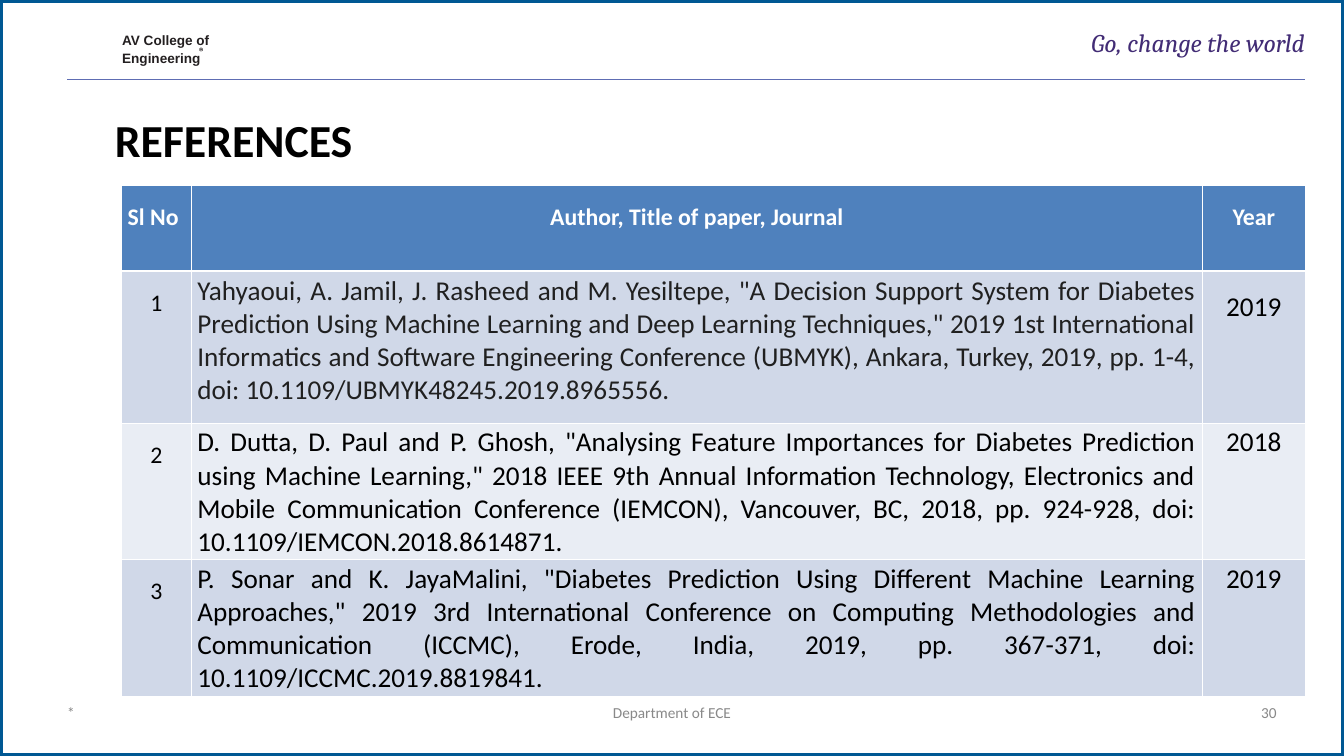
from pptx import Presentation
from pptx.dml.color import RGBColor
from pptx.enum.shapes import MSO_CONNECTOR as CONNECTOR, MSO_SHAPE as SHAPE
from pptx.enum.text import PP_ALIGN as ALIGN
from pptx.oxml import parse_xml
from pptx.oxml.ns import nsdecls
from pptx.util import Inches, Pt


def color(value):
    return RGBColor.from_string(value)


def add_run(paragraph, text, size, font, value, bold=False, italic=False):
    run = paragraph.add_run()
    run.text = text
    run.font.size = Pt(size)
    run.font.name = font
    run.font.bold = bold
    run.font.italic = italic
    run.font.color.rgb = color(value)


presentation = Presentation()
presentation.slide_width = Inches(21.99)
presentation.slide_height = Inches(12.37)
slide = presentation.slides.add_slide(presentation.slide_layouts[6])
shapes = slide.shapes

# Page frame
frame = shapes.add_shape(SHAPE.RECTANGLE, 0, 0, Inches(21.99), Inches(12.37))
frame.shadow.inherit = False
frame.fill.solid()
frame.fill.fore_color.rgb = color("FFFFFF")
frame.line.color.rgb = color("005893")
frame.line.width = Pt(6)

# Header rule
rule = shapes.add_connector(CONNECTOR.STRAIGHT, Inches(1.1), Inches(1.3), Inches(21.36), Inches(1.3))
rule.line.color.rgb = color("5E6DB3")
rule.line.width = Pt(1.25)
rule._element.spPr.append(parse_xml(f"<a:effectLst {nsdecls('a')}/>"))

# Registered mark: ring and letter
ring = shapes.add_shape(SHAPE.DONUT, Inches(3.26), Inches(0.78), Inches(0.06), Inches(0.06))
ring.adjustments[0] = 0.1
builder = shapes.build_freeform(Inches(3.28), Inches(0.79))
builder.add_line_segments(
    [(Inches(x), Inches(y)) for x, y in
     [(3.3, 0.79), (3.3, 0.81), (3.31, 0.83), (3.29, 0.81), (3.28, 0.83)]], close=True)
letter = builder.convert_to_shape()
for shape in (ring, letter):
    shape.shadow.inherit = False
    shape.fill.solid()
    shape.fill.fore_color.rgb = color("231F20")
    shape.line.fill.background()

# Text boxes: left, top, width, height, lines, size, font, colour, bold, italic, align, insets, spacing
GREY = "898989"
texts = [
    (1.99, 0.48, 1.5, 0.54, ["AV College of", "Engineering"], 16, "Arial", "231F20",
     True, False, ALIGN.LEFT, (0.01, 0.02), 1.06),
    (1.87, 1.82, 11.2, 0.92, ["REFERENCES"], 54, "Calibri", "000000",
     True, False, ALIGN.LEFT, (0.01, 0.01), 1.0),
    (17.33, 0.45, 4.02, 0.51, ["Go, change the world"], 30, "Cambria", "422C75",
     False, True, ALIGN.RIGHT, (0, 0), 1.0),
    (1.1, 11.5, 5.06, 0.62, ["*"], 18, "Calibri", GREY, False, False, ALIGN.LEFT, (0, 0), 1.0),
    (7.48, 11.5, 7.03, 0.62, ["Department of ECE"], 18, "Calibri", GREY,
     False, False, ALIGN.CENTER, (0, 0), 1.0),
    (15.83, 11.5, 5.06, 0.62, ["30"], 18, "Calibri", GREY, False, False, ALIGN.RIGHT, (0, 0), 1.0),
]
for left, top, width, height, lines, size, font, value, bold, italic, align, insets, spacing in texts:
    box = shapes.add_textbox(Inches(left), Inches(top), Inches(width), Inches(height))
    frame = box.text_frame
    frame.word_wrap = True
    frame.margin_left, frame.margin_top = [Inches(inset) for inset in insets]
    frame.margin_right = frame.margin_bottom = 0
    for index, line in enumerate(lines):
        paragraph = frame.add_paragraph() if index else frame.paragraphs[0]
        paragraph.alignment = align
        paragraph.line_spacing = spacing
        paragraph.space_before = Pt(index)
        add_run(paragraph, line, size, font, value, bold, italic)

# References table
rows = [
    ("Sl No", "Author, Title of paper, Journal", "Year"),
    ("1", 'Yahyaoui, A. Jamil, J. Rasheed and M. Yesiltepe, "A Decision Support System for Diabetes '
          'Prediction Using Machine Learning and Deep Learning Techniques," 2019 1st International '
          'Informatics and Software Engineering Conference (UBMYK), Ankara, Turkey, 2019, pp. 1-4, '
          'doi: 10.1109/UBMYK48245.2019.8965556.', "2019"),
    ("2", 'D. Dutta, D. Paul and P. Ghosh, "Analysing Feature Importances for Diabetes Prediction '
          'using Machine Learning," 2018 IEEE 9th Annual Information Technology, Electronics and '
          'Mobile Communication Conference (IEMCON), Vancouver, BC, 2018, pp. 924-928, '
          'doi: 10.1109/IEMCON.2018.8614871.', "2018"),
    ("3", 'P. Sonar and K. JayaMalini, "Diabetes Prediction Using Different Machine Learning '
          'Approaches," 2019 3rd International Conference on Computing Methodologies and '
          'Communication (ICCMC), Erode, India, 2019, pp. 367-371, '
          'doi: 10.1109/ICCMC.2019.8819841.', "2019"),
]
fills = ["4F81BD", "D0D8E8", "E9EDF4", "D0D8E8"]
table = shapes.add_table(4, 3, Inches(1.99), Inches(3.03), Inches(19.37), Inches(8.36)).table
for column, width in zip(table.columns, [1.14, 16.54, 1.69]):
    column.width = Inches(width)
for row, height in zip(table.rows, [1.41, 2.48, 2.23, 2.24]):
    row.height = Inches(height)

for r, row in enumerate(rows):
    for c, text in enumerate(row):
        cell = table.cell(r, c)
        cell.margin_left = cell.margin_right = Inches(0.1)
        cell.margin_top = cell.margin_bottom = Inches(0.05)
        cell.fill.solid()
        cell.fill.fore_color.rgb = color(fills[r])

        # White grid, heavier below the header
        properties = cell._tc.get_or_add_tcPr()
        for index, side in enumerate("LRTB"):
            heavy = (r, side) in [(0, "B"), (1, "T")]
            properties.insert(index, parse_xml(
                f'<a:ln{side} {nsdecls("a")} w="{Pt(3 if heavy else 1)}"><a:solidFill>'
                f'<a:srgbClr val="FFFFFF"/></a:solidFill></a:ln{side}>'))

        header = r == 0
        paragraph = cell.text_frame.paragraphs[0]
        paragraph.alignment = ALIGN.CENTER
        if header and c == 0:
            paragraph.alignment = ALIGN.LEFT
        elif c == 1 and not header:
            paragraph.alignment = ALIGN.JUSTIFY
        paragraph.line_spacing = 1.5 if header or c == 0 or (r, c) == (1, 2) else 1.0
        value = "FFFFFF" if header else "202020" if (r, c) == (1, 1) else "000000"
        add_run(paragraph, text, 28 if header or c == 0 else 32, "Calibri", value, header)

presentation.save("out.pptx")
